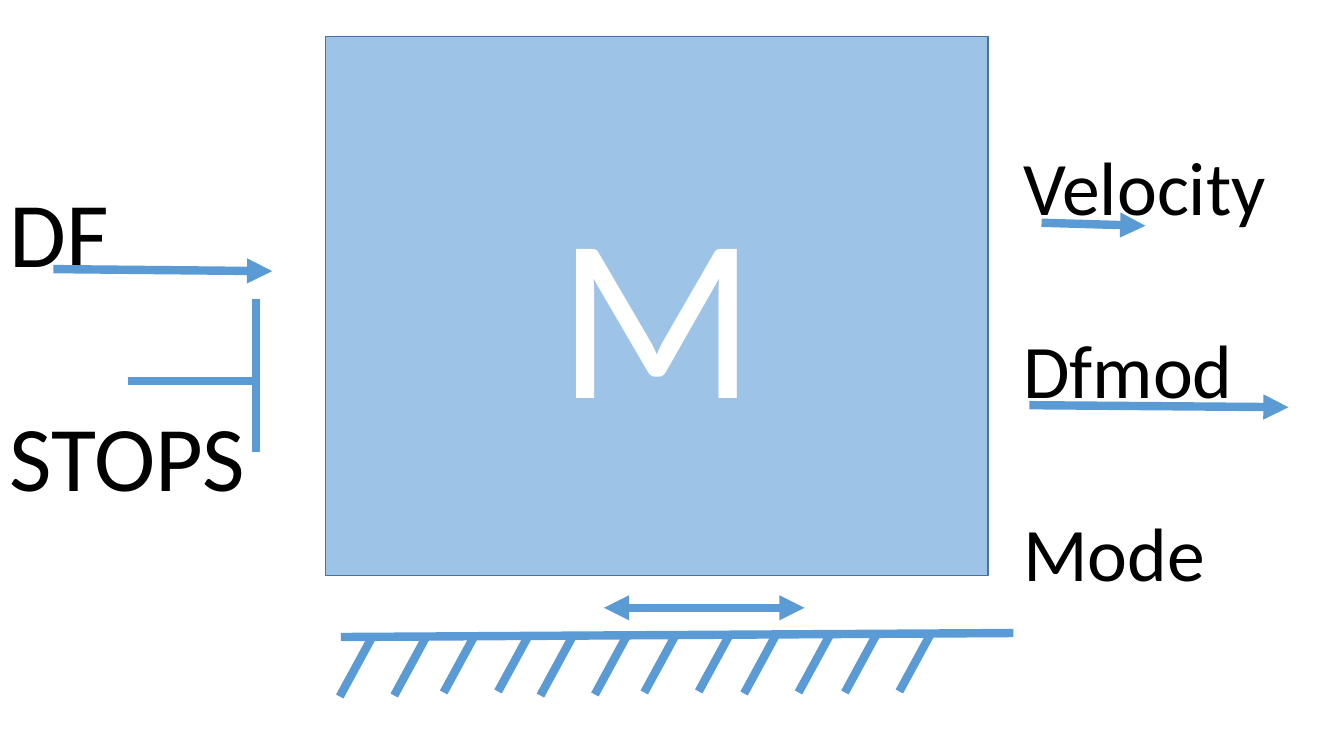
from pptx import Presentation
from pptx.dml.color import RGBColor as RGB
from pptx.enum.shapes import MSO_CONNECTOR as CONN, MSO_SHAPE as SHAPE
from pptx.enum.text import MSO_ANCHOR as ANCHOR, PP_ALIGN as ALIGN
from pptx.oxml.ns import qn
from pptx.util import Inches, Pt
from lxml.etree import SubElement as Sub

COLORS = {"line": "5B9BD5", "mass": "9DC3E6", "edge": "43739E",
          "dark": "000000", "light": "FFFFFF"}


def write(frame, text, size, color="dark", align=ALIGN.LEFT, gap=0):
    frame.word_wrap = True
    frame.text = text
    for i, para in enumerate(frame.paragraphs):
        para.alignment = align
        para.space_before = Pt(gap if i else 0)
        font = para.runs[0].font
        font.name, font.size = "Calibri", Pt(size)
        font.color.rgb = RGB.from_string(COLORS[color])


def draw(group, x1, y1, x2, y2, ends=()):
    line = group.add_connector(CONN.STRAIGHT, *map(Inches, (x1, y1, x2, y2)))
    line.line.width = Pt(6)
    line.line.color.rgb = RGB.from_string(COLORS["line"])
    for end in ends:
        Sub(line.line._get_or_add_ln(), qn("a:" + end), type="triangle")
    Sub(line._element.spPr, qn("a:effectLst"))


deck = Presentation()
deck.slide_width, deck.slide_height = Inches(13.33), Inches(7.5)
shapes = deck.slides.add_slide(deck.slide_layouts[6]).shapes

# Input and output labels, one line height apart
for x, y, w, h, size, words in (
        (0, 1.69, 3.42, 3.42, 66, ("DF", "STOPS")),
        (10.05, 1.34, 2.88, 5.54, 54, ("Velocity", "Dfmod", "Mode"))):
    box = shapes.add_textbox(*map(Inches, (x, y, w, h)))
    write(box.text_frame, "\n".join(words), size, gap=size * 1.22)

# Mass
mass = shapes.add_shape(SHAPE.RECTANGLE, *map(Inches, (3.23, 0.36, 6.57, 5.35)))
mass.shadow.inherit = False
mass.fill.solid()
mass.fill.fore_color.rgb = RGB.from_string(COLORS["mass"])
mass.line.color.rgb = RGB.from_string(COLORS["edge"])
mass.line.width = Pt(1)
mass.text_frame.vertical_anchor = ANCHOR.MIDDLE
write(mass.text_frame, "M", 166, color="light", align=ALIGN.CENTER)

# Ground with hatching, and the sliding arrow above it
ground = shapes.add_group_shape().shapes
draw(ground, 3.38, 6.32, 10.05, 6.28)
for x, y in ((3.68, 6.34), (4.71, 6.3), (5.67, 6.33),
             (6.7, 6.3), (7.69, 6.31), (8.69, 6.3)):
    for left, top in ((x, y), (x + 0.54, y - 0.01)):
        draw(ground, left, top, left - 0.31, top + 0.57)
draw(ground, 5.99, 6.03, 7.98, 6.03, ends=("headEnd", "tailEnd"))

# Stop
stop = shapes.add_group_shape().shapes
draw(stop, 2.54, 2.97, 2.54, 4.48)
draw(stop, 1.27, 3.78, 2.54, 3.78)

# Arrows under DF, Velocity and Dfmod
for ends in ((0.53, 2.67, 2.7, 2.69), (10.33, 2.21, 11.36, 2.24),
             (10.21, 4.02, 12.78, 4.04)):
    draw(shapes, *ends, ends=("tailEnd",))

deck.save("out.pptx")
